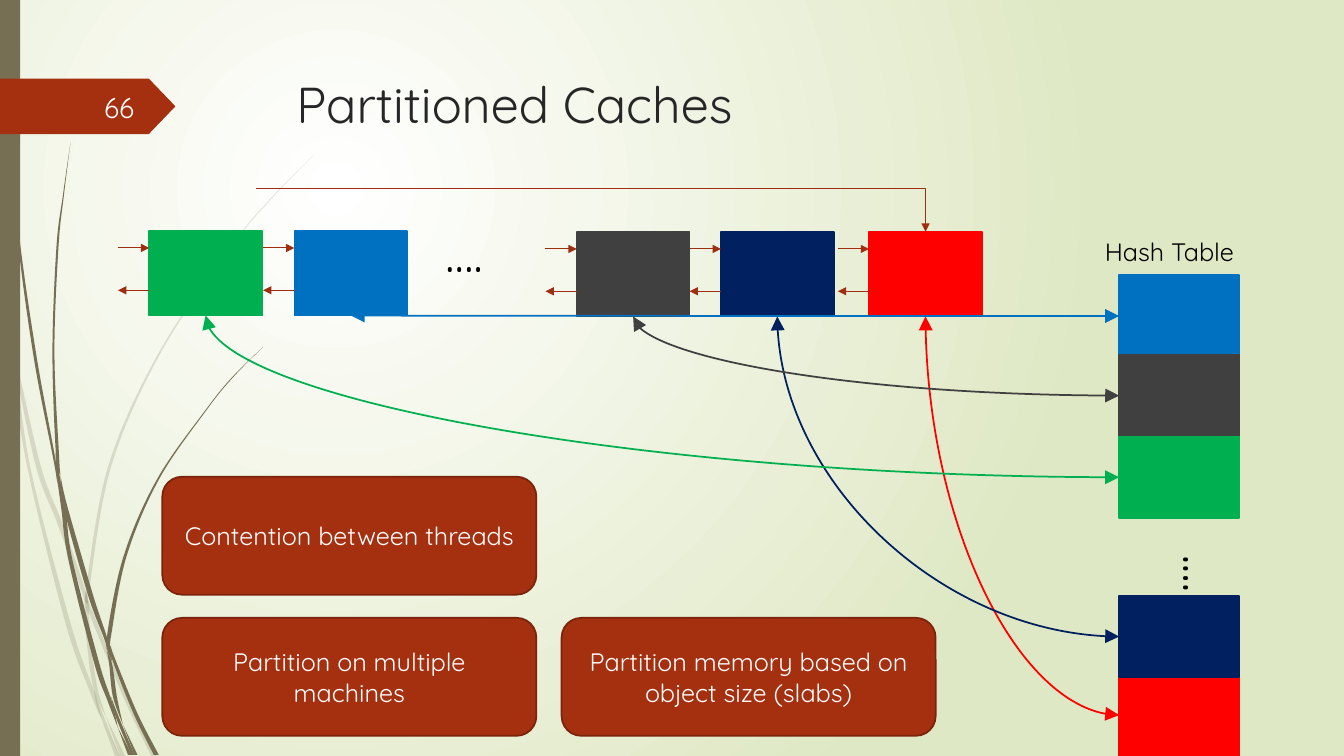
from lxml.etree import SubElement
from pptx import Presentation
from pptx.dml.color import RGBColor
from pptx.enum.shapes import MSO_CONNECTOR, MSO_SHAPE
from pptx.enum.text import MSO_ANCHOR, PP_ALIGN
from pptx.oxml.ns import qn
from pptx.util import Inches, Pt

COLORS = {
    "olive": "766F54", "rust": "A53010", "rust_edge": "7A240C", "arrow": "9E2E0F",
    "green": "00B050", "blue": "0070C0", "gray": "404040", "navy": "002060", "red": "FF0000",
    "title": "262626", "black": "000000", "white": "FFFFFF", "number": "FEFFFF", "pale": "DFE8C4",
}
FONT = "Quicksand"
W, H = 13.33, 7.5

# Pieces of the grass blades as (x, y, width) along the centre of each piece
FAINT_BLADES = [
    [(0, 2.82, 0), (.01, 2.95, .04), (.1, 3.4, .02), (.11, 3.5, 0)],
    [(.14, 3.45, 0), (.18, 3.72, .03), (.39, 4.66, .05), (.6, 5.21, .05), (.84, 5.9, .04), (.84, 5.99, 0)],
    [(.88, 5.96, 0), (.9, 6.07, .04), (1.25, 6.93, .04), (1.53, 7.51, .05)],
    [(1.05, 7.11, 0), (1.22, 7.51, .05)],
    [(.11, 3.5, 0), (.15, 3.76, .04), (.3, 4.7, .03), (.68, 6.2, .05), (.92, 6.88, .04), (1.01, 7.14, 0)],
    [(.84, 5.99, 0), (.86, 6.1, .04), (.89, 6.46, .04), (.95, 6.84, .04), (1.05, 7.11, 0)],
    [(3.12, 1.53, 0), (2.68, 1.98, .01), (2.29, 2.45, .01), (1.59, 3.49, .02),
     (1.09, 4.62, .03), (.87, 5.84, .03), (.88, 5.96, 0)],
    [(1.01, 7.14, 0), (1.17, 7.51, .05)],
    [(.85, 5.86, 0), (.86, 5.98, .04), (.88, 6.1, 0)],
    [(.93, 6.83, 0), (1, 7.07, .03), (1.19, 7.51, 0)],
]
SOLID_BLADES = [
    [(.04, 0, .01), (.08, 1.1, .01), (.18, 2.33, .02), (.35, 3.55, .03), (.54, 4.56, .02), (.57, 4.81, 0)],
    [(.6, 4.72, 0), (.65, 5.03, .04), (.9, 5.91, .05), (1.05, 6.34, .03), (1.06, 6.45, 0)],
    [(1.1, 6.41, 0), (1.12, 6.52, .03), (1.34, 7.07, .04), (1.55, 7.49, .05)],
    [(.57, 4.77, 0), (.63, 5.06, .04), (.7, 5.56, .04), (.96, 6.58, .05), (1.09, 6.96, .04), (1.17, 7.22, 0)],
    [(.7, 1.41, 0), (.63, 1.93, .01), (.57, 2.45, .02), (.53, 3.49, .02), (.57, 4.51, .03), (.6, 4.72, 0)],
    [(1.22, 7.19, 0), (1.35, 7.49, .03)],
    [(.55, 4.49, 0), (.58, 4.74, .03), (.64, 5.05, 0)],
    [(2.61, 3.44, 0), (2.31, 3.74, .01), (2.05, 4.06, .01), (1.57, 4.75, .02),
     (1.24, 5.52, .03), (1.08, 6.32, .04), (1.1, 6.41, 0)],
    [(1.17, 7.22, 0), (1.29, 7.49, .04)],
    [(1.06, 6.45, 0), (1.1, 6.6, .03), (1.14, 6.91, .04), (1.22, 7.19, 0)],
    [(1.06, 6.31, 0), (1.08, 6.43, .04), (1.11, 6.56, 0)],
    [(1.1, 6.91, 0), (1.17, 7.13, .03), (1.32, 7.49, .03)],
]


def rgb(name):
    return RGBColor.from_string(COLORS[name])


def add_block(s, kind, x, y, w, h, fill, edge=None):
    sp = s.shapes.add_shape(kind, Inches(x), Inches(y), Inches(w), Inches(h))
    paint(sp, fill, edge)
    return sp


def paint(sp, fill, edge=None):
    sp.shadow.inherit = False
    sp.fill.solid()
    sp.fill.fore_color.rgb = rgb(fill)
    if edge:
        sp.line.color.rgb = rgb(edge)
        sp.line.width = Pt(1.25)
    else:
        sp.line.fill.background()


def write(tf, text, size, color, align=PP_ALIGN.LEFT, anchor=MSO_ANCHOR.TOP):
    tf.text = text
    tf.word_wrap = True
    tf.vertical_anchor = anchor
    p = tf.paragraphs[0]
    p.alignment = align
    f = p.runs[0].font
    f.name, f.size, f.color.rgb = FONT, Pt(size), rgb(color)


def add_label(s, x, y, w, h, text, size, color, **place):
    tb = s.shapes.add_textbox(Inches(x), Inches(y), Inches(w), Inches(h))
    write(tb.text_frame, text, size, color, **place)
    return tb


def add_arrow(s, start, end, color, width=0.75, kind=MSO_CONNECTOR.STRAIGHT, preset=None, both=False):
    c = s.shapes.add_connector(kind, *(Inches(v) for v in (*start, *end)))
    c.line.color.rgb, c.line.width = rgb(color), Pt(width)
    pr = c._element.spPr
    if preset:
        pr.find(qn("a:prstGeom")).set("prst", preset)
    size = "lg" if both else "med"
    for tag in ("a:headEnd", "a:tailEnd")[0 if both else 1:]:
        SubElement(c.line._get_or_add_ln(), qn(tag), type="triangle", w=size, len=size)
    SubElement(pr, qn("a:effectLst"))
    return c


def draw_blade(s, points, alpha=None):
    left = [(max(x - w / 2, 0), y) for x, y, w in points]
    right = [(x + w / 2, y) for x, y, w in reversed(points)]
    outline = [(Inches(x), Inches(y)) for x, y in left + right]
    fb = s.shapes.build_freeform(*outline[0])
    fb.add_line_segments(outline[1:])
    sp = fb.convert_to_shape()
    paint(sp, "olive")
    bend_sides(sp, len(points))
    if alpha:
        clr = sp._element.spPr.find(qn("a:solidFill"))[0]
        SubElement(clr, qn("a:alpha"), val=str(alpha * 1000))


def bend_sides(sp, n):
    """Turn the straight segments of both sides into smooth curves."""
    geom = sp._element.spPr
    pts = [(int(pt.get("x")), int(pt.get("y"))) for pt in geom.iter(qn("a:pt"))]

    def slope(k):
        first = k // n * n
        before, after = pts[max(k - 1, first)], pts[min(k + 1, first + n - 1)]
        return [(b - a) / 6 for a, b in zip(before, after)]

    for k, seg in enumerate(list(geom.iter(qn("a:lnTo")))):
        if k == n - 1:
            continue
        out = [a + d for a, d in zip(pts[k], slope(k))]
        into = [a - d for a, d in zip(pts[k + 1], slope(k + 1))]
        curve = SubElement(seg.getparent(), qn("a:cubicBezTo"))
        for x, y in (out, into, pts[k + 1]):
            SubElement(curve, qn("a:pt"), x=str(round(x)), y=str(round(y)))
        seg.getparent().replace(seg, curve)


def draw_backdrop(s):
    fill = s.background.fill
    fill.gradient()
    for stop, pos, name in zip(fill.gradient_stops, (0, 1), ("white", "pale")):
        stop.position, stop.color.rgb = pos, rgb(name)
    grad = next(s._element.iter(qn("a:gradFill")))
    grad.remove(grad.find(qn("a:lin")))
    radial = SubElement(grad, qn("a:path"), path="circle")
    SubElement(radial, qn("a:fillToRect"), l="50000", t="50000", r="100000", b="100000")
    for blade in FAINT_BLADES:
        draw_blade(s, blade, 20)
    for blade in SOLID_BLADES:
        draw_blade(s, blade)
    add_block(s, MSO_SHAPE.RECTANGLE, 0, 0, 0.2, H, "olive")


def draw_header(s, x, y, w, h):
    banner = add_block(s, MSO_SHAPE.PENTAGON, 0, y + 0.1, 1.74, 0.55, "rust")
    banner.adjustments[0] = 0.48
    add_label(s, 0.58, y + 0.18, 0.85, 0.4, "66", 20, "number",
              align=PP_ALIGN.RIGHT, anchor=MSO_ANCHOR.MIDDLE)
    title = s.shapes.title
    title.left, title.top, title.width, title.height = (Inches(v) for v in (x, y, w, h))
    write(title.text_frame, "Partitioned Caches", 36, "title")


def draw_chain(s, x, y):
    """Linked list of cache blocks; returns the blocks by colour."""
    w, h, gap = 1.12, 0.84, 0.31
    blocks = {}
    for name, dx, dy in (("green", 0, 0), ("blue", 1.44, 0), ("gray", 4.24, 0.01),
                         ("navy", 5.67, 0.01), ("red", 7.14, 0.01)):
        left, top = x + dx, y + dy
        blocks[name] = add_block(s, MSO_SHAPE.RECTANGLE, left, top, w, h, name, name)
        add_arrow(s, (left - gap, top + 0.17), (left, top + 0.17), "arrow")
        add_arrow(s, (left, top + 0.59), (left - gap, top + 0.59), "arrow")
    add_label(s, x + 2.84, y - 0.14, 1, 0.71, "….", 36, "black")
    head = add_arrow(s, (x + 1.06, y - 0.42), (x + 7.7, y + 0.01), "arrow",
                     kind=MSO_CONNECTOR.ELBOW, preset="bentConnector2")
    head.end_connect(blocks["red"], 0)
    return blocks


def draw_hash_table(s, x, y):
    """Column of slots with a gap; returns the slots by colour."""
    add_label(s, x - 0.24, y - 0.43, 1.74, 0.4, "Hash Table", 18, "black")
    dots = add_label(s, x - 0.01, y + 2.39, 1, 0.71, "….", 36, "black")
    dots.rotation = 270
    rows = (("blue", 0), ("gray", 0.79), ("green", 1.6), ("red", 3.96), ("navy", 3.18))
    return {name: add_block(s, MSO_SHAPE.RECTANGLE, x, y + dy, 1.19, 0.81, name, name)
            for name, dy in rows}


def link_slots(s, slots, blocks):
    for name in ("red", "navy", "green", "gray", "blue"):
        c = add_arrow(s, (1, 1), (0, 0), name, 1.25, MSO_CONNECTOR.CURVE, "curvedConnector2", True)
        c.begin_connect(slots[name], 1)
        c.end_connect(blocks[name], 2)


def draw_notes(s, x, y):
    for col, row, text in ((0, 0, "Contention between threads"),
                           (0, 1, "Partition on multiple machines"),
                           (1, 1, "Partition memory based on object size (slabs)")):
        sp = add_block(s, MSO_SHAPE.ROUNDED_RECTANGLE, x + col * 3.96, y + row * 1.4,
                       3.71, 1.17, "rust", "rust_edge")
        write(sp.text_frame, text, 18, "white", PP_ALIGN.CENTER, MSO_ANCHOR.MIDDLE)


prs = Presentation()
prs.slide_width, prs.slide_height = Inches(W), Inches(H)
s = prs.slides.add_slide(prs.slide_layouts[5])
draw_backdrop(s)
draw_header(s, 2.84, 0.68, 9.75, 1.4)
blocks = draw_chain(s, 1.48, 2.29)
slots = draw_hash_table(s, 11.1, 2.73)
link_slots(s, slots, blocks)
draw_notes(s, 1.61, 4.73)
prs.save("out.pptx")
